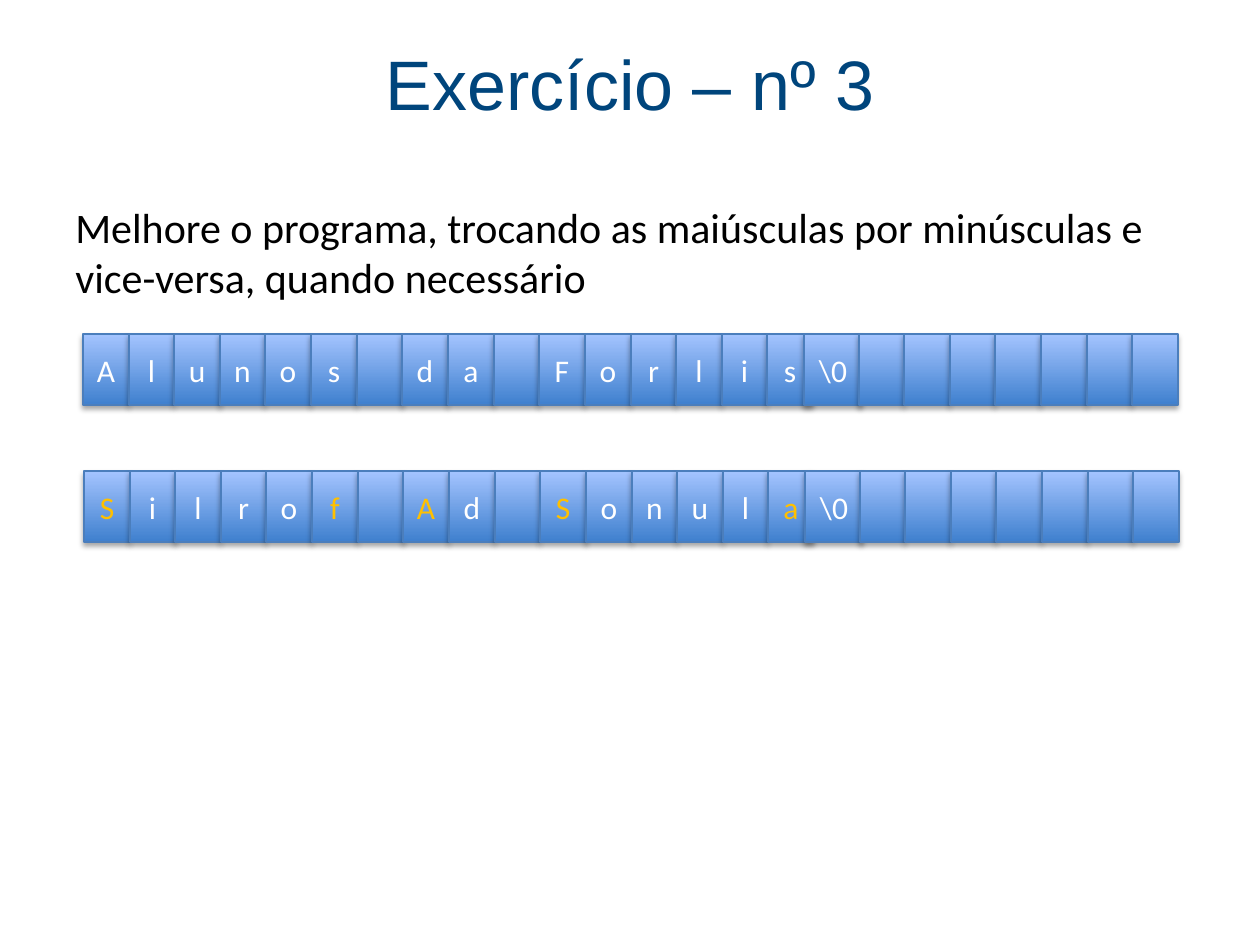
from lxml.etree import SubElement
from pptx import Presentation
from pptx.dml.color import RGBColor
from pptx.enum.shapes import MSO_SHAPE
from pptx.enum.text import MSO_ANCHOR, PP_ALIGN
from pptx.oxml.ns import qn
from pptx.util import Pt

PX = 914400 // 126
PAGE_WIDTH, PAGE_HEIGHT = 1260, 945

NAVY = RGBColor(0x00, 0x45, 0x7C)
BLACK = RGBColor(0x00, 0x00, 0x00)
WHITE = RGBColor(0xFF, 0xFF, 0xFF)
AMBER = RGBColor(0xFF, 0xC0, 0x00)
CELL_BOTTOM = RGBColor(0x3F, 0x80, 0xCE)
CELL_TOP = RGBColor(0xA4, 0xC4, 0xFF)
CELL_LINE = RGBColor(0x4B, 0x7E, 0xBC)

CELL_COUNT = 24
# The terminator cell is wider than the others on both sides
TERMINATOR = "\\0"
EXTRA_LEFT, EXTRA_RIGHT = 9, 3


def emu(*lengths):
    return [length * PX for length in lengths]


def format_text(frame, text, font_name, size, color, alignment):
    frame.text = text
    frame.word_wrap = True
    para = frame.paragraphs[0]
    para.alignment = alignment
    for span in para.runs:
        span.font.name = font_name
        span.font.size = Pt(size)
        span.font.color.rgb = color
    return para


def add_title(page, box, text):
    frame = page.shapes.add_textbox(*emu(*box)).text_frame
    format_text(frame, text, "Arial", 40, NAVY, PP_ALIGN.CENTER)
    frame.vertical_anchor = MSO_ANCHOR.MIDDLE


def add_body(page, box, text):
    frame = page.shapes.add_textbox(*emu(*box)).text_frame
    para = format_text(frame, text, "Calibri", 24, BLACK, PP_ALIGN.LEFT)
    para.space_before = Pt(4.8)


def add_soft_shadow(shape):
    shape.shadow.inherit = False
    effects = shape.element.spPr.find(qn("a:effectLst"))
    shadow = SubElement(effects, qn("a:outerShdw"), blurRad=str(Pt(3.1)),
                        dist=str(Pt(1.8)), dir="5400000", rotWithShape="0")
    color = SubElement(shadow, qn("a:srgbClr"), val="000000")
    SubElement(color, qn("a:alpha"), val="35000")


def add_cell(group, box, text, color):
    cell = group.shapes.add_shape(MSO_SHAPE.RECTANGLE, *emu(*box))
    cell.fill.gradient()
    cell.fill.gradient_angle = 90
    for stop, stop_color in zip(cell.fill.gradient_stops, (CELL_BOTTOM, CELL_TOP)):
        stop.color.rgb = stop_color
    cell.line.color.rgb = CELL_LINE
    cell.line.width = Pt(0.75)
    add_soft_shadow(cell)
    if text:
        frame = cell.text_frame
        frame.margin_left = frame.margin_right = 0
        frame.vertical_anchor = MSO_ANCHOR.MIDDLE
        format_text(frame, text, "Calibri", 18, color, PP_ALIGN.CENTER)


def add_character_array(page, box, phrase, highlighted=()):
    """Draw a string in memory: one cell per character, then the terminator."""
    left, top, width, height = box
    group = page.shapes.add_group_shape()
    characters = [*phrase, TERMINATOR]
    characters += [""] * (CELL_COUNT - len(characters))
    edges = [left + round(index * width / CELL_COUNT)
             for index in range(CELL_COUNT + 1)]
    for index, character in enumerate(characters):
        start, end = edges[index], edges[index + 1]
        if character == TERMINATOR:
            start, end = start - EXTRA_LEFT, end + EXTRA_RIGHT
        color = AMBER if index in highlighted else WHITE
        add_cell(group, (start, top, end - start, height), character.strip(), color)


def main():
    deck = Presentation()
    deck.slide_width, deck.slide_height = emu(PAGE_WIDTH, PAGE_HEIGHT)
    page = deck.slides.add_slide(deck.slide_layouts[6])

    # Heading and task
    add_title(page, (63, 38, 1134, 89), "Exercício – nº 3")
    add_body(page, (63, 195, 1134, 624),
             "Melhore o programa, trocando as maiúsculas por minúsculas "
             "e vice-versa, quando necessário")

    # Input string, then its reversal with the swapped letters marked
    add_character_array(page, (83, 334, 1095, 71), "Alunos da Forlis")
    add_character_array(page, (84, 471, 1095, 71), "Silrof Ad Sonula",
                        highlighted=(0, 5, 7, 10, 15))

    deck.save("out.pptx")


if __name__ == "__main__":
    main()
